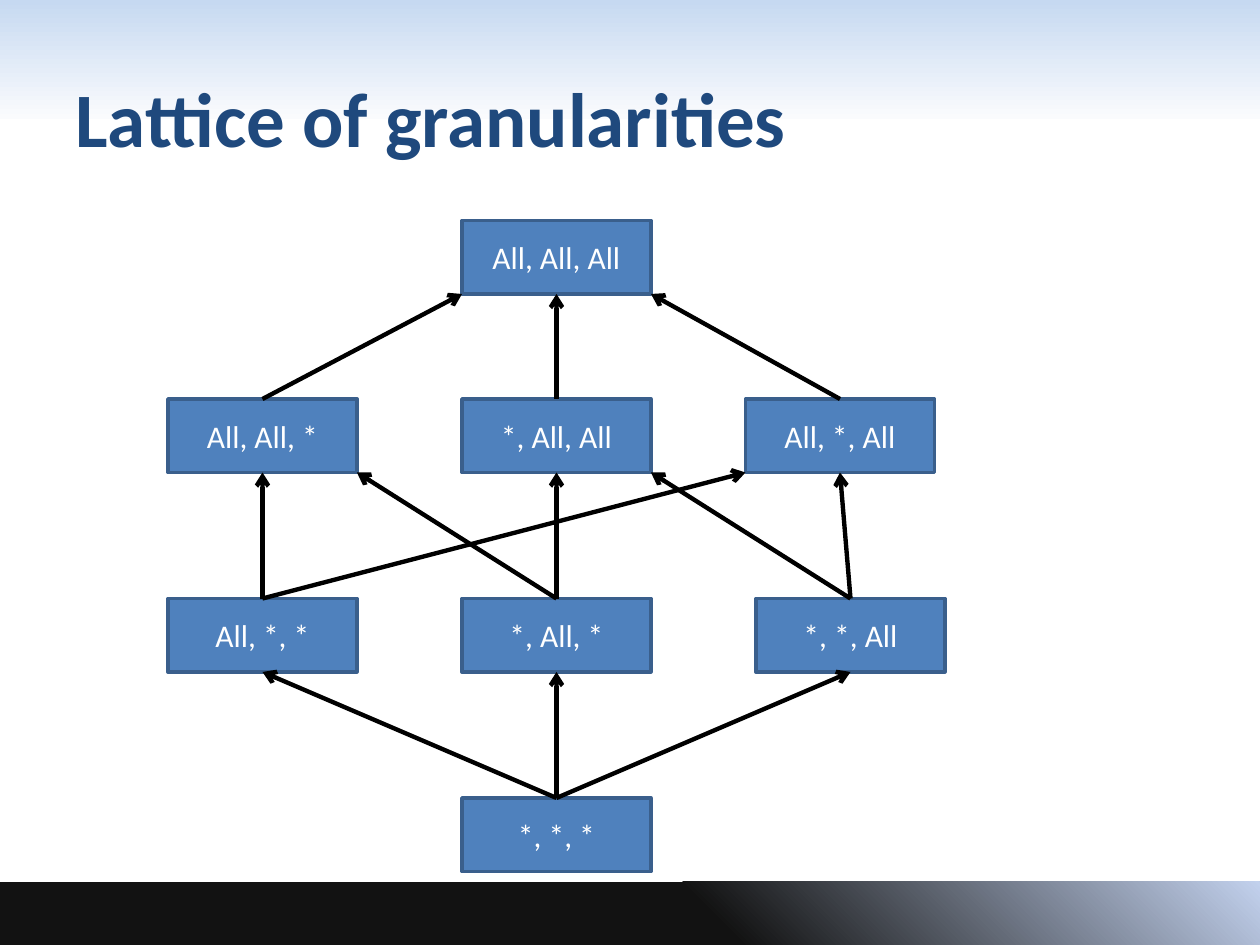
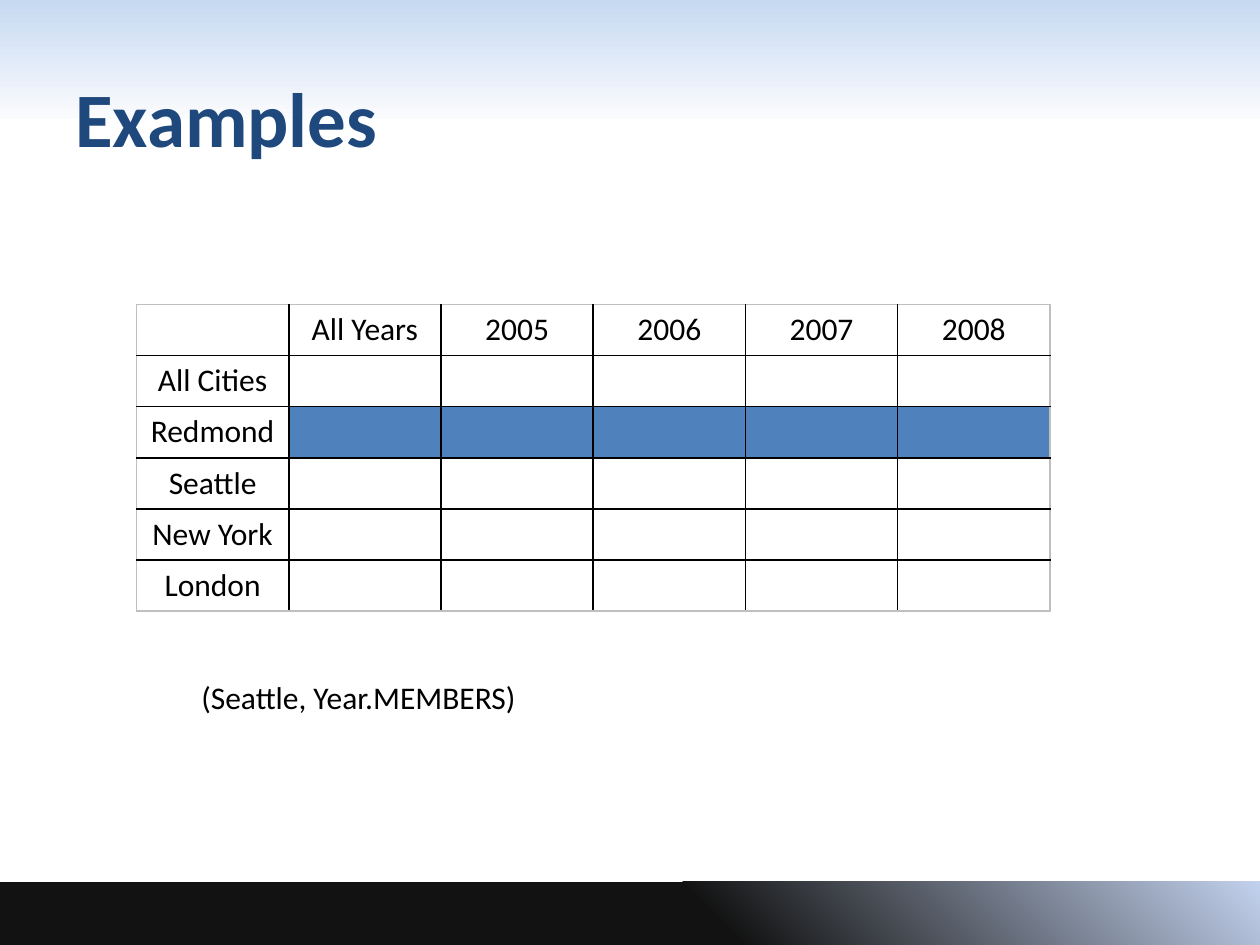
import dataclasses

import lxml.etree
import pptx
import pptx.dml.color
import pptx.enum.shapes
import pptx.enum.text
import pptx.oxml.ns
import pptx.util

PX = 7620  # EMU per px, 120 px to the inch
FONT = "Calibri"
COLORS = {
    "white": "FFFFFF",
    "black": "000000",
    "title": "1F497D",
    "box": "4F81BD",
    "box_line": "3A5F8C",
    "table_edge": "BFBFBF",
    "sky": "C6D9F1",
    "haze": "FAFBFD",
    "night": "121212",
    "dawn": "C2D1ED",
}
ALIGN = pptx.enum.text.PP_ALIGN
ANCHOR = pptx.enum.text.MSO_ANCHOR
RECT = pptx.enum.shapes.MSO_SHAPE.RECTANGLE
STRAIGHT = pptx.enum.shapes.MSO_CONNECTOR.STRAIGHT
TOP, BOTTOM = 0, 2


@dataclasses.dataclass(frozen=True)
class Band:
    top: int
    height: int
    stops: tuple[tuple[float, str], tuple[float, str]]
    angle: int


@dataclasses.dataclass(frozen=True)
class Node:
    text: str
    left: int
    top: int


@dataclasses.dataclass(frozen=True)
class Edge:
    """An arrow from the top of one node to the bottom of another: its middle or a corner."""
    start: str
    end: str
    at: str = "middle"


BANDS = (
    Band(0, 113, ((0, "sky"), (1, "haze")), 270),
    Band(840, 60, ((0.56, "night"), (1, "dawn")), 45),
)

NODE_W, NODE_H = 180, 70
NODES = (
    Node("All, *, *", 160, 570),
    Node("*, All, *", 440, 570),
    Node("*, *, All", 720, 570),
    Node("*, *, *", 440, 760),
    Node("All, All, *", 160, 380),
    Node("*, All, All", 440, 380),
    Node("All, *, All", 710, 380),
    Node("All, All, All", 440, 210),
)
EDGES = (
    Edge("*, *, *", "*, All, *"),
    Edge("*, *, *", "*, *, All"),
    Edge("*, *, *", "All, *, *"),
    Edge("All, *, *", "All, All, *"),
    Edge("All, All, *", "All, All, All", "left"),
    Edge("*, All, All", "All, All, All"),
    Edge("All, *, All", "All, All, All", "right"),
    Edge("*, *, All", "*, All, All", "right"),
    Edge("*, All, *", "All, All, *", "right"),
    Edge("All, *, *", "All, *, All", "left"),
    Edge("*, *, All", "All, *, All"),
    Edge("*, All, *", "*, All, All"),
)

YEARS = ("All Years", "2005", "2006", "2007", "2008")
CITIES = ("All Cities", "Redmond", "Seattle", "New York", "London")
MARKED_CITY = "Redmond"


def px(*lengths: int) -> list[pptx.util.Emu]:
    return [pptx.util.Emu(n * PX) for n in lengths]


def rgb(name: str) -> pptx.dml.color.RGBColor:
    return pptx.dml.color.RGBColor.from_string(COLORS[name])


def write(tf, text: str, color: str, size: int = 18, bold: bool = False, align=ALIGN.LEFT) -> None:
    p = tf.paragraphs[0]
    p.alignment = align
    r = p.add_run()
    r.text = text
    r.font.name = FONT
    r.font.size = pptx.util.Pt(size)
    r.font.bold = bold
    r.font.color.rgb = rgb(color)


def add_text(s, box: tuple[int, int, int, int], text: str, color: str, size: int = 18,
             bold: bool = False, anchor=ANCHOR.TOP) -> None:
    tf = s.shapes.add_textbox(*px(*box)).text_frame
    tf.word_wrap = True
    tf.vertical_anchor = anchor
    write(tf, text, color, size, bold)


def add_band(s, band: Band) -> None:
    sp = s.shapes.add_shape(RECT, *px(0, band.top, 1200, band.height))
    sp.shadow.inherit = False
    sp.line.fill.background()
    sp.fill.gradient()
    sp.fill.gradient_angle = band.angle
    for stop, (position, color) in zip(sp.fill.gradient_stops, band.stops):
        stop.position = position
        stop.color.rgb = rgb(color)


def add_slide(prs, title: str):
    s = prs.slides.add_slide(prs.slide_layouts[6])
    for band in BANDS:
        add_band(s, band)
    add_text(s, (60, 36, 1080, 150), title, "title", 44, True, ANCHOR.MIDDLE)
    return s


def add_node(s, node: Node):
    sp = s.shapes.add_shape(RECT, *px(node.left, node.top, NODE_W, NODE_H))
    sp.shadow.inherit = False
    sp.fill.solid()
    sp.fill.fore_color.rgb = rgb("box")
    sp.line.color.rgb = rgb("box_line")
    sp.line.width = pptx.util.Pt(2)
    sp.text_frame.vertical_anchor = ANCHOR.MIDDLE
    write(sp.text_frame, node.text, "white", align=ALIGN.CENTER)
    return sp


def add_arrow(s, edge: Edge, boxes: dict) -> None:
    start, end = boxes[edge.start], boxes[edge.end]
    x = {"left": end.left, "middle": end.left + end.width // 2, "right": end.left + end.width}
    c = s.shapes.add_connector(STRAIGHT, start.left + start.width // 2, start.top,
                               x[edge.at], end.top + end.height)
    c.begin_connect(start, TOP)
    if edge.at == "middle":
        c.end_connect(end, BOTTOM)
    c.line.color.rgb = rgb("black")
    c.line.width = pptx.util.Pt(2.5)
    qn = pptx.oxml.ns.qn
    lxml.etree.SubElement(c.line._get_or_add_ln(), qn("a:tailEnd"), type="arrow")
    lxml.etree.SubElement(c._element.spPr, qn("a:effectLst"))


def set_borders(cell, colors: dict[str, str]) -> None:
    """Give each side (L, R, T, B) a 1 pt line, placed ahead of the cell's fill."""
    qn = pptx.oxml.ns.qn
    tc_pr = cell._tc.get_or_add_tcPr()
    for i, (side, color) in enumerate(colors.items()):
        ln = lxml.etree.Element(qn(f"a:ln{side}"), w=str(pptx.util.Pt(1)))
        fill = lxml.etree.SubElement(ln, qn("a:solidFill"))
        lxml.etree.SubElement(fill, qn("a:srgbClr"), val=COLORS[color])
        tc_pr.insert(i, ln)


def add_city_table(s) -> None:
    rows = [("", *YEARS)] + [(city, *[""] * len(YEARS)) for city in CITIES]
    last_row, last_col = len(CITIES), len(YEARS)
    table = s.shapes.add_table(len(rows), len(rows[0]), *px(130, 290, 870, 292)).table
    table.first_row = table.horz_banding = False
    for i, row in enumerate(rows):
        for j, text in enumerate(row):
            cell = table.cell(i, j)
            if row[0] == MARKED_CITY and j > 0:
                cell.fill.solid()
                cell.fill.fore_color.rgb = rgb("box")
            else:
                cell.fill.background()
            outer = {"L": j == 0, "R": j == last_col, "T": i == 0, "B": i == last_row}
            set_borders(cell, {side: "table_edge" if edge else "black"
                               for side, edge in outer.items()})
            if text:
                write(cell.text_frame, text, "black", align=ALIGN.CENTER)


def build_lattice(prs) -> None:
    s = add_slide(prs, "Lattice of granularities")
    boxes = {node.text: add_node(s, node) for node in NODES}
    for edge in EDGES:
        add_arrow(s, edge, boxes)


def build_examples(prs) -> None:
    s = add_slide(prs, "Examples")
    add_city_table(s)
    add_text(s, (180, 640, 720, 48), "(Seattle, Year.MEMBERS)", "black")


def main() -> None:
    prs = pptx.Presentation()
    prs.slide_width, prs.slide_height = px(1200, 900)
    build_lattice(prs)
    build_examples(prs)
    prs.save("out.pptx")


if __name__ == "__main__":
    main()
